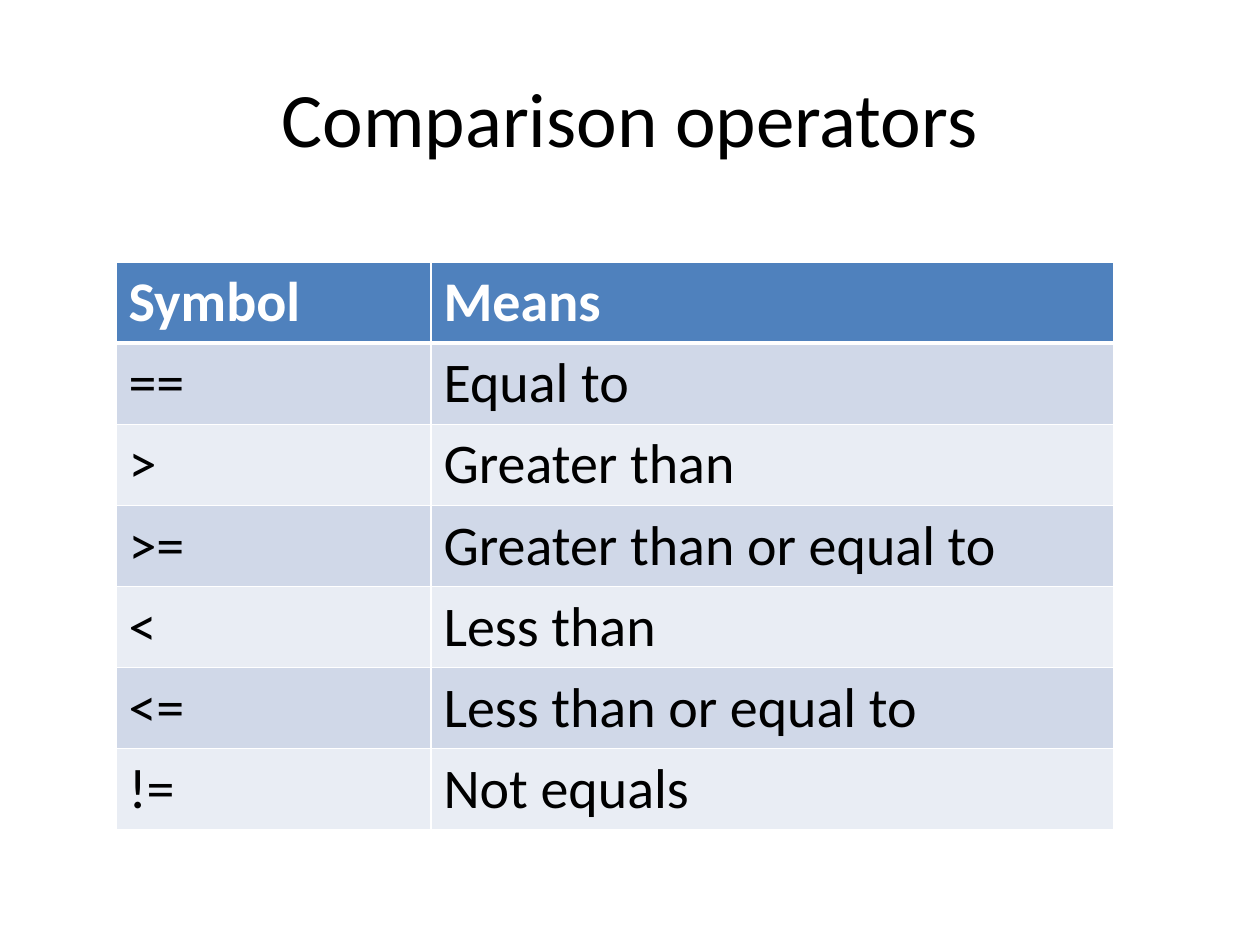
from lxml import etree
from pptx import Presentation
from pptx.dml.color import RGBColor
from pptx.enum.text import MSO_ANCHOR, PP_ALIGN
from pptx.oxml.ns import qn
from pptx.util import Inches, Pt

CENTER = PP_ALIGN.CENTER
MIDDLE = MSO_ANCHOR.MIDDLE

BLACK, WHITE = "000000", "FFFFFF"
HEADER_FILL = "4F81BD"
BAND_FILLS = ("D0D8E8", "E9EDF4")

OPERATORS = [
    ("Symbol", "Means"),
    ("==", "Equal to"),
    (">", "Greater than"),
    (">=", "Greater than or equal to"),
    ("<", "Less than"),
    ("<=", "Less than or equal to"),
    ("!=", "Not equals"),
]
COLUMN_WIDTHS = (2.5, 5.42)
ROW_HEIGHT = 0.64


def rgb(color):
    return RGBColor.from_string(color)


def write(tf, text, color, **formats):
    p = tf.paragraphs[0]
    r = p.add_run()
    r.text = text
    r.font.color.rgb = rgb(color)
    for name, value in {"name": "Calibri", **formats}.items():
        setattr(r.font, name, value)
    return p


def add_title(slide, text):
    sp = slide.shapes.add_textbox(Inches(0.5), Inches(0.3), Inches(9), Inches(1.25))
    tf = sp.text_frame
    tf.word_wrap = True
    tf.vertical_anchor = MIDDLE
    write(tf, text, BLACK, size=Pt(44)).alignment = CENTER


def set_borders(cell, color, widths):
    """Draw the cell's sides; widths maps L, R, T and B to points."""
    tcPr = cell._tc.get_or_add_tcPr()
    for side, width in widths.items():
        ln = etree.SubElement(tcPr, qn(f"a:ln{side}"), w=str(Pt(width)))
        fill = etree.SubElement(ln, qn("a:solidFill"))
        etree.SubElement(fill, qn("a:srgbClr"), val=color)


def add_operator_table(slide, rows):
    table = slide.shapes.add_table(
        len(rows), len(COLUMN_WIDTHS), Inches(0.92), Inches(2.08),
        Inches(sum(COLUMN_WIDTHS)), Inches(ROW_HEIGHT * len(rows))).table
    for column, width in zip(table.columns, COLUMN_WIDTHS):
        column.width = Inches(width)
    for i, texts in enumerate(rows):
        header = i == 0
        widths = {"L": 1, "R": 1, "T": 3 if i == 1 else 1, "B": 3 if header else 1}
        for j, text in enumerate(texts):
            cell = table.cell(i, j)
            set_borders(cell, WHITE, widths)
            cell.fill.solid()
            cell.fill.fore_color.rgb = rgb(HEADER_FILL if header else BAND_FILLS[(i - 1) % 2])
            write(cell.text_frame, text, WHITE if header else BLACK, size=Pt(32), bold=header)


def main():
    prs = Presentation()
    prs.slide_width, prs.slide_height = Inches(10), Inches(7.5)
    slide = prs.slides.add_slide(prs.slide_layouts[6])
    add_operator_table(slide, OPERATORS)
    add_title(slide, "Comparison operators")
    prs.save("out.pptx")


if __name__ == "__main__":
    main()
